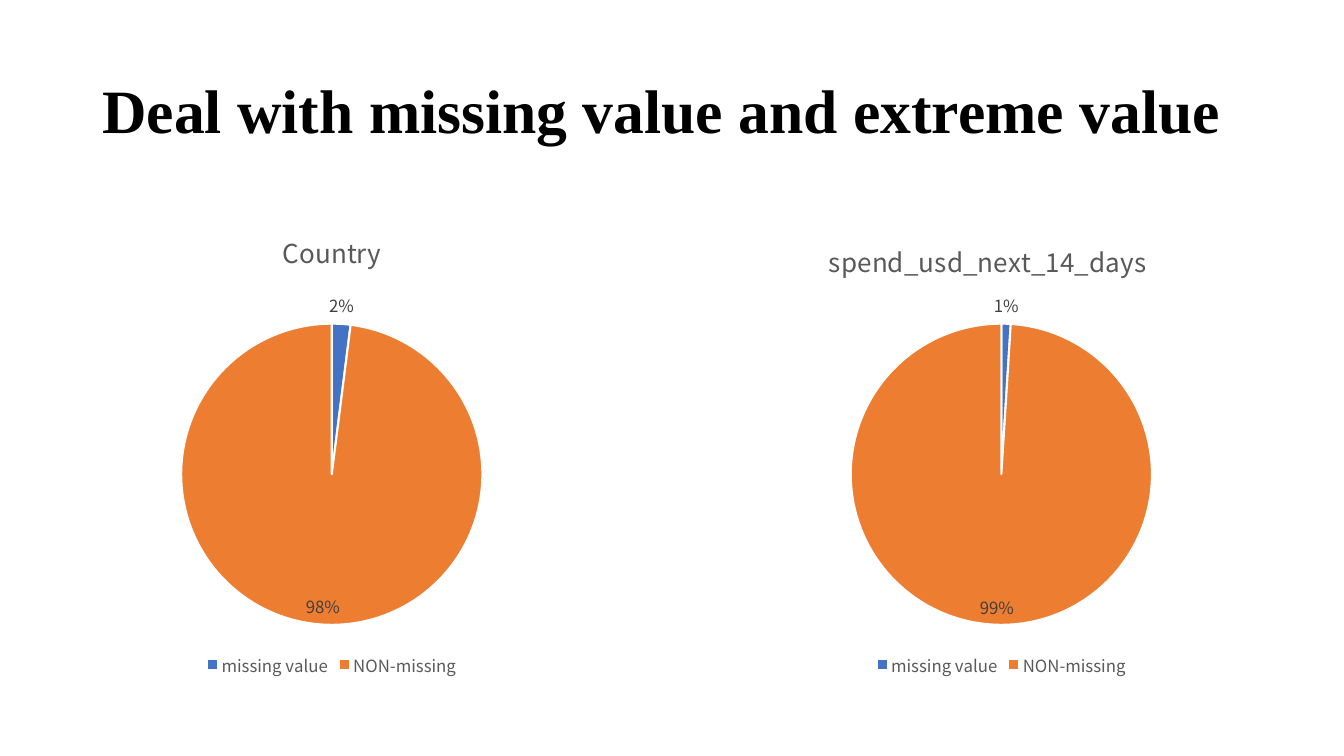
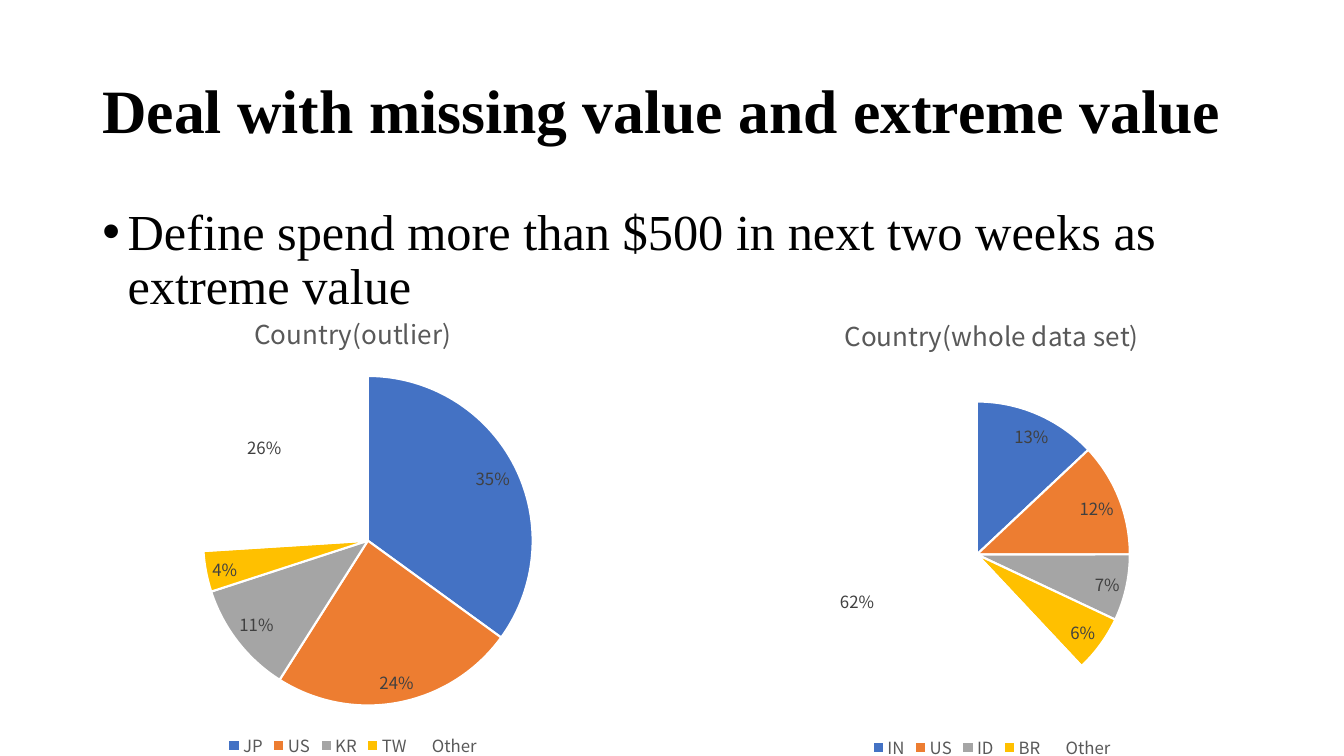
from dataclasses import dataclass
from typing import Any, Optional

from lxml import etree
from pptx import Presentation
from pptx.chart.data import CategoryChartData
from pptx.dml.color import RGBColor
from pptx.enum.chart import XL_CHART_TYPE, XL_LABEL_POSITION, XL_LEGEND_POSITION
from pptx.enum.text import MSO_ANCHOR
from pptx.oxml.ns import qn
from pptx.util import Inches, Pt

PIE = XL_CHART_TYPE.PIE
BEST_FIT = XL_LABEL_POSITION.BEST_FIT
BOTTOM = XL_LEGEND_POSITION.BOTTOM
MIDDLE, TOP = MSO_ANCHOR.MIDDLE, MSO_ANCHOR.TOP

WIDTH, HEIGHT = Inches(13.333), Inches(7.5)
COLORS = {
    "paper": "FFFFFF", "ink": "000000", "heading": "595959", "label": "404040",
    "blue": "4472C4", "orange": "ED7D31", "gray": "A5A5A5", "yellow": "FFC000",
}
SLICES = ("blue", "orange", "gray", "yellow", "paper")
SERIF, SANS = "Times New Roman", "Noto Sans CJK SC"
FONTS = {
    "title": {"name": SERIF, "size": Pt(44), "bold": True, "color": "ink"},
    "body": {"name": SERIF, "size": Pt(36), "bold": False, "color": "ink"},
    "chart": {"name": SANS, "size": Pt(10), "bold": False, "color": "ink"},
    "chart title": {"name": SANS, "size": Pt(18.6), "bold": False, "color": "heading"},
    "legend": {"name": SANS, "size": Pt(12), "bold": False, "color": "heading"},
    "label": {"name": SANS, "size": Pt(12), "bold": False, "color": "label"},
}
TITLE = "Deal with missing value and extreme value"


@dataclass(frozen=True)
class Frame:
    """A rectangle in percent of the slide's width and height."""
    left: float
    top: float
    width: float
    height: float

    def lengths(self) -> tuple[int, int, int, int]:
        """Return left, top, width and height as slide lengths."""
        return (int(self.left * WIDTH / 100), int(self.top * HEIGHT / 100),
                int(self.width * WIDTH / 100), int(self.height * HEIGHT / 100))


@dataclass(frozen=True)
class Pie:
    """A pie chart; its circle is placed in shares of the chart's frame."""
    title: str
    frame: Frame
    values: dict[str, int]
    center: float = 0.5
    top: float = 0.24
    diameter: float = 0.64
    title_left: Optional[float] = None


@dataclass(frozen=True)
class Page:
    """The content of one slide below the shared title."""
    pies: tuple[Pie, ...]
    bullet: str = ""


TITLE_FRAME = Frame(6.88, 5.33, 90.45, 19.33)
BODY_FRAME = Frame(6.88, 26.67, 86.25, 63.47)
PAGES = (
    Page((
        Pie("Country", Frame(6.88, 27.87, 35.62, 62.27),
            {"missing value": 2, "NON-missing": 98}),
        Pie("spend_usd_next_14_days", Frame(56.7, 27.87, 35.62, 62.27),
            {"missing value": 1, "NON-missing": 99}, title_left=0.13),
    )),
    Page((
        Pie("Country(outlier)", Frame(-1.72, 38.53, 55.95, 62.27),
            {"JP": 35, "US": 24, "KR": 11, "TW": 4, "Other": 26},
            center=0.52, top=0.18, diameter=0.7),
        Pie("Country(whole data set)", Frame(45.83, 38.8, 55.95, 62.27),
            {"IN": 13, "US": 12, "ID": 7, "BR": 6, "Other": 62},
            center=0.48, top=0.23, diameter=0.65),
    ), "Define spend more than $500 in next two weeks as extreme value"),
)


def color(name: str) -> RGBColor:
    """Look up a named color."""
    return RGBColor.from_string(COLORS[name])


def set_font(font: Any, style: str) -> None:
    """Apply a named font style."""
    for key, value in FONTS[style].items():
        if key == "color":
            font.color.rgb = color(value)
        else:
            setattr(font, key, value)


def add_text(page: Any, text: str, frame: Frame, style: str, anchor: Any) -> Any:
    """Add a one-paragraph text box and return its paragraph."""
    box = page.shapes.add_textbox(*frame.lengths())
    box.text_frame.word_wrap = True
    box.text_frame.vertical_anchor = anchor
    para = box.text_frame.paragraphs[0]
    para.line_spacing = 0.9
    span = para.add_run()
    span.text = text
    set_font(span.font, style)
    return para


def add_bullet(page: Any, text: str) -> None:
    """Add the bulleted body text."""
    para = add_text(page, text, BODY_FRAME, "body", TOP)
    para.space_before = Pt(10)
    properties = para._p.get_or_add_pPr()
    for key, indent in {"marL": 0.25, "indent": -0.25}.items():
        properties.set(key, str(Inches(indent)))
    etree.SubElement(properties, qn("a:buFont")).set("typeface", "Arial")
    etree.SubElement(properties, qn("a:buChar")).set("char", "•")


def set_layout(parent: Any, index: int, settings: dict[str, Any]) -> None:
    """Give a chart part a manual layout."""
    for old in parent.findall(qn("c:layout")):
        parent.remove(old)
    layout = etree.Element(qn("c:layout"))
    manual = etree.SubElement(layout, qn("c:manualLayout"))
    for key, value in settings.items():
        etree.SubElement(manual, qn(f"c:{key}")).set("val", str(value))
    parent.insert(index, layout)


def add_pie(page: Any, pie: Pie) -> None:
    """Add a pie chart with title, legend and percent labels."""
    data = CategoryChartData()
    data.categories = list(pie.values)
    data.add_series(pie.title, list(pie.values.values()))
    left, top, width, height = pie.frame.lengths()
    chart = page.shapes.add_chart(PIE, left, top, width, height, data).chart
    set_font(chart.font, "chart")

    chart.has_title = True
    span = chart.chart_title.text_frame.paragraphs[0].add_run()
    span.text = pie.title
    set_font(span.font, "chart title")
    if pie.title_left is not None:
        set_layout(chart.chart_title._element, 1, {
            "xMode": "edge", "yMode": "edge", "x": pie.title_left, "y": 0.05})

    chart.has_legend = True
    chart.legend.position = BOTTOM
    chart.legend.include_in_layout = False
    set_font(chart.legend.font, "legend")

    plot = chart.plots[0]
    plot.vary_by_categories = True
    plot.has_data_labels = True
    settings = {"show_percentage": True, "show_value": False, "number_format": "0%",
                "number_format_is_linked": False, "position": BEST_FIT}
    for key, value in settings.items():
        setattr(plot.data_labels, key, value)
    set_font(plot.data_labels.font, "label")
    for index, name in enumerate(SLICES[:len(pie.values)]):
        form = plot.series[0].points[index].format
        form.fill.solid()
        form.fill.fore_color.rgb = color(name)
        form.line.color.rgb = color("paper")
        form.line.width = Pt(1.5)

    share = pie.diameter * height / width
    set_layout(chart._chartSpace.chart.plotArea, 0, {
        "layoutTarget": "inner", "xMode": "edge", "yMode": "edge",
        "x": round(pie.center - share / 2, 4), "y": pie.top,
        "w": round(share, 4), "h": pie.diameter})


def build() -> None:
    """Build and save the deck."""
    deck = Presentation()
    deck.slide_width, deck.slide_height = WIDTH, HEIGHT
    for content in PAGES:
        page = deck.slides.add_slide(deck.slide_layouts[6])
        page.background.fill.solid()
        page.background.fill.fore_color.rgb = color("paper")
        add_text(page, TITLE, TITLE_FRAME, "title", MIDDLE)
        if content.bullet:
            add_bullet(page, content.bullet)
        for pie in content.pies:
            add_pie(page, pie)
    deck.save("out.pptx")


build()
